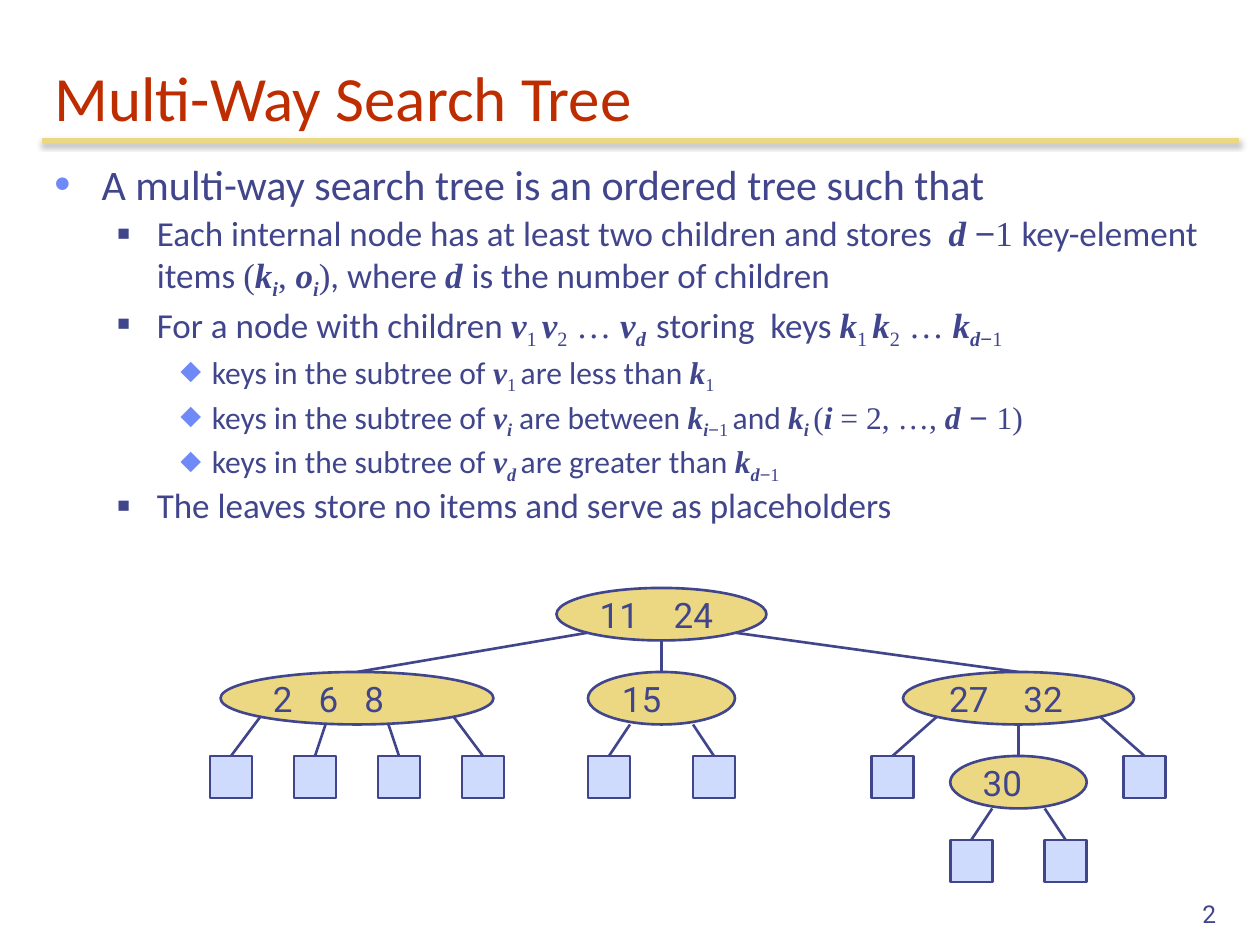
"""Build a slide that defines the multi-way search tree and draws an example."""
from lxml import etree
from pptx import Presentation
from pptx.dml.color import RGBColor
from pptx.enum.shapes import MSO_CONNECTOR, MSO_SHAPE
from pptx.enum.text import MSO_ANCHOR, PP_ALIGN
from pptx.oxml.ns import qn
from pptx.util import Pt

STRAIGHT = MSO_CONNECTOR.STRAIGHT
ELLIPSE, SQUARE = MSO_SHAPE.OVAL, MSO_SHAPE.RECTANGLE
TOP, MIDDLE, BOTTOM = MSO_ANCHOR.TOP, MSO_ANCHOR.MIDDLE, MSO_ANCHOR.BOTTOM
LEFT, RIGHT = PP_ALIGN.LEFT, PP_ALIGN.RIGHT

COLORS = {"title": "BE2D00", "ink": "40458C", "gold": "ECD882",
          "leaf": "CFDBFD", "bullet": "6F89F7", "shadow": "000000"}

NODE_H, LEAF, ROW = 30, 24, 48
CORNER = 0.146

LEVELS = [
    {"size": 24, "left": 27, "hang": 27, "char": "•", "color": "bullet", "pct": 110},
    {"size": 20, "left": 58.5, "hang": 22.5, "char": "■", "color": "ink", "pct": 60},
    {"size": 18, "left": 90, "hang": 18, "char": "⬥", "color": "bullet", "pct": 95},
]

STYLES = {
    "text": ("Calibri", False, False),
    "var": ("Times New Roman", True, False),
    "var_sub": ("Times New Roman", True, True),
    "num": ("Times New Roman", False, False),
    "num_sub": ("Times New Roman", False, True),
    "sign": ("Arial", False, False),
    "sign_sub": ("Arial", False, True),
}

BODY = [
    (0, [("A multi-way search tree is an ordered tree such that", "text")]),
    (1, [("Each internal node has at least two children and stores  ", "text"),
         ("d ", "var"), ("−", "sign"), ("1 ", "num"), ("key-element items ", "text"),
         ("(", "num"), ("k", "var"), ("i", "var_sub"), (", ", "num"), ("o", "var"),
         ("i", "var_sub"), (")", "num"), (", where ", "text"), ("d ", "var"),
         ("is the number of children", "text")]),
    (1, [("For a node with children ", "text"), ("v", "var"), ("1 ", "num_sub"),
         ("v", "var"), ("2", "num_sub"), (" … ", "num"), ("v", "var"),
         ("d  ", "var_sub"), ("storing  keys ", "text"), ("k", "var"),
         ("1 ", "num_sub"), ("k", "var"), ("2", "num_sub"), (" … ", "num"),
         ("k", "var"), ("d", "var_sub"), ("−", "sign_sub"), ("1", "num_sub")]),
    (2, [("keys in the subtree of ", "text"), ("v", "var"), ("1 ", "num_sub"),
         ("are less than ", "text"), ("k", "var"), ("1", "num_sub")]),
    (2, [("keys in the subtree of ", "text"), ("v", "var"), ("i", "var_sub"),
         (" are between ", "text"), ("k", "var"), ("i", "var_sub"),
         ("−", "sign_sub"), ("1 ", "num_sub"), ("and ", "text"), ("k", "var"),
         ("i ", "var_sub"), ("(", "num"), ("i", "var"), (" = 2, …, ", "num"),
         ("d", "var"), (" − ", "sign"), ("1)", "num")]),
    (2, [("keys in the subtree of ", "text"), ("v", "var"), ("d ", "var_sub"),
         ("are greater than ", "text"), ("k", "var"), ("d", "var_sub"),
         ("−", "sign_sub"), ("1", "num_sub")]),
    (1, [("The leaves store no items and serve as placeholders", "text")]),
]

# Each child is (centre x, x where its edge leaves the node or None for the corner, is leaf).
TREE = [
    ("11    24", 318, 336, 120,
     [(204, None, False), (378, 378, False), (582, None, False)]),
    ("2   6   8", 126, 384, 156,
     [(132, None, True), (180, 186, True), (228, 222, True), (276, None, True)]),
    ("15", 336, 384, 84, [(348, 360, True), (408, 396, True)]),
    ("27    32", 516, 384, 132,
     [(510, None, True), (582, 582, False), (654, None, True)]),
    ("30", 543, 432, 78, [(555, 567, True), (609, 597, True)]),
]


def rgb(name):
    """Return the named colour."""
    return RGBColor.from_string(COLORS[name])


def style_run(r, font, size, color):
    """Set the font, size and colour of a run."""
    r.font.name, r.font.size = font, Pt(size)
    r.font.color.rgb = rgb(color)


def add_text(s, box, text, font, size, color, anchor=TOP, align=LEFT):
    """Add a wrapping text box and return its text frame."""
    tf = s.shapes.add_textbox(*map(Pt, box)).text_frame
    tf.word_wrap, tf.vertical_anchor = True, anchor
    p = tf.paragraphs[0]
    p.text, p.alignment = text, align
    for r in p.runs:
        style_run(r, font, size, color)
    return tf


def add_line(s, start, end, color, width):
    """Add a straight line and return its empty effect list."""
    line = s.shapes.add_connector(STRAIGHT, *map(Pt, start + end))
    line.line.color.rgb, line.line.width = rgb(color), Pt(width)
    return etree.SubElement(line._element.spPr, qn("a:effectLst"))


def add_title_rule(s):
    """Add the line below the title with its soft shadow."""
    effects = add_line(s, (24, 80.5), (708, 80.5), "gold", 3)
    shadow = etree.SubElement(effects, qn("a:outerShdw"), blurRad=str(Pt(3.1)),
                              dist=str(Pt(1.8)), dir="5400000", rotWithShape="0")
    color = etree.SubElement(shadow, qn("a:srgbClr"), val=COLORS["shadow"])
    etree.SubElement(color, qn("a:alpha"), val="35000")


def format_bullet(p, level):
    """Give a paragraph the spacing, indent and bullet of its level."""
    p.line_spacing, p.space_before = 0.9, Pt(0.2 * level["size"])
    pPr = p._p.get_or_add_pPr()
    pPr.set("marL", str(Pt(level["left"])))
    pPr.set("indent", str(-Pt(level["hang"])))
    color = etree.SubElement(pPr, qn("a:buClr"))
    etree.SubElement(color, qn("a:srgbClr"), val=COLORS[level["color"]])
    etree.SubElement(pPr, qn("a:buSzPct"), val=str(level["pct"] * 1000))
    etree.SubElement(pPr, qn("a:buFont"), typeface="Arial")
    etree.SubElement(pPr, qn("a:buChar"), char=level["char"])


def add_body(s):
    """Add the bulleted definition."""
    tf = add_text(s, (24, 90, 684, 408), "", "Calibri", 24, "ink")
    for i, (depth, pieces) in enumerate(BODY):
        p = tf.add_paragraph() if i else tf.paragraphs[0]
        p.level = depth
        format_bullet(p, LEVELS[depth])
        for text, style in pieces:
            font, is_variable, is_sub = STYLES[style]
            r = p.add_run()
            r.text = text
            style_run(r, font, LEVELS[depth]["size"], "ink")
            r.font.bold = r.font.italic = is_variable
            if is_sub:
                r._r.get_or_add_rPr().set("baseline", "-25000")


def add_outlined(s, kind, box, fill):
    """Add a filled shape with a thin outline."""
    sp = s.shapes.add_shape(kind, *map(Pt, box))
    sp.shadow.inherit = False
    sp.fill.solid()
    sp.fill.fore_color.rgb = rgb(fill)
    sp.line.color.rgb, sp.line.width = rgb("ink"), Pt(1.5)
    return sp


def add_node(s, keys, left, top, width):
    """Add an internal node with its keys."""
    tf = add_outlined(s, ELLIPSE, (left, top, width, NODE_H), "gold").text_frame
    tf.word_wrap, tf.vertical_anchor = False, MIDDLE
    p = tf.paragraphs[0]
    p.text, p.alignment = keys, LEFT
    style_run(p.runs[0], "Roboto", 20, "ink")


def add_branches(s, left, top, width, children):
    """Add the edges below a node and the leaves they reach."""
    for x, anchor, is_leaf in children:
        start = (anchor, top + NODE_H)
        if anchor is None:
            side = CORNER if x < left + width / 2 else 1 - CORNER
            start = (left + side * width, top + (1 - CORNER) * NODE_H)
        add_line(s, start, (x, top + ROW), "ink", 1.5)
        if is_leaf:
            add_outlined(s, SQUARE, (x - LEAF / 2, top + ROW, LEAF, LEAF), "leaf")


def main():
    """Build and save the slide."""
    prs = Presentation()
    prs.slide_width, prs.slide_height = Pt(720), Pt(540)
    s = prs.slides.add_slide(prs.slide_layouts[6])
    add_title_rule(s)
    add_text(s, (24, 24, 684, 56), "Multi-Way Search Tree", "Calibri", 36, "title", BOTTOM)
    add_body(s)
    for keys, left, top, width, children in TREE:
        add_node(s, keys, left, top, width)
        add_branches(s, left, top, width, children)
    add_text(s, (552, 498, 150, 36), "2", "Roboto", 14, "ink", BOTTOM, RIGHT)
    prs.save("out.pptx")


if __name__ == "__main__":
    main()
